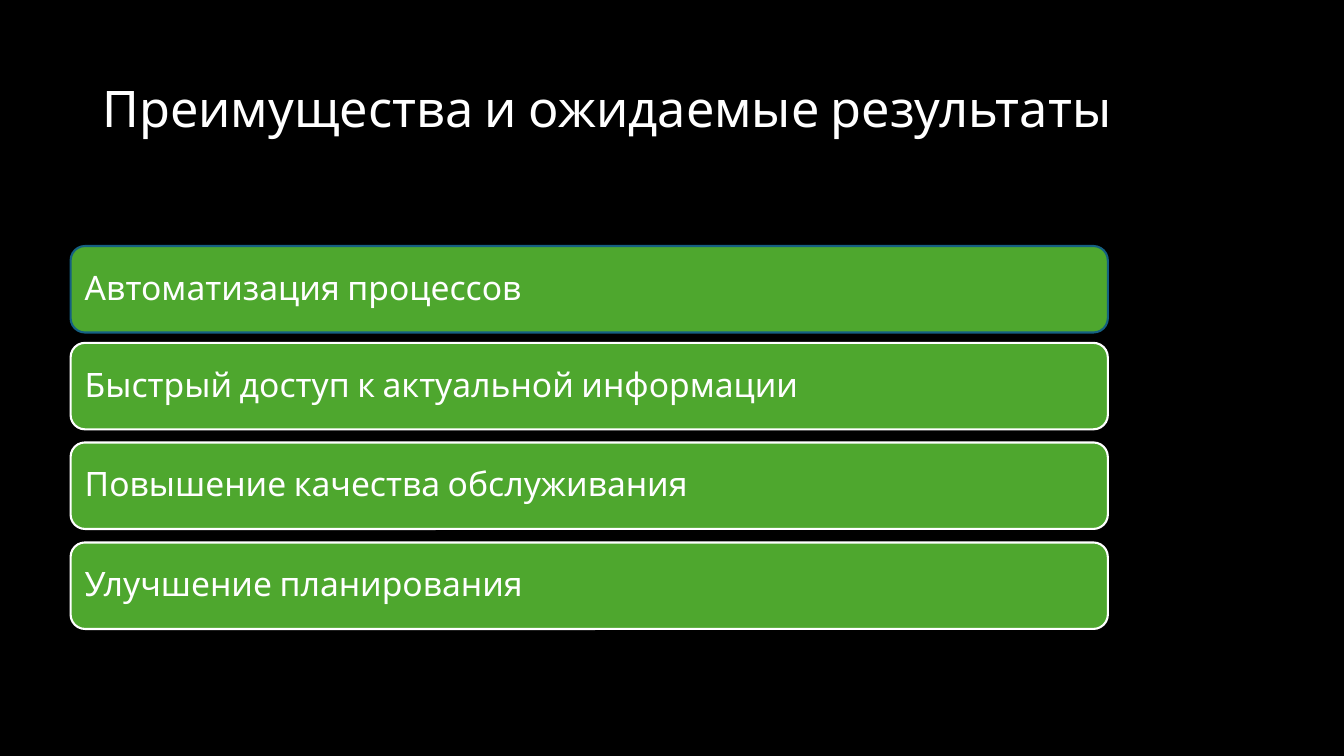
from dataclasses import dataclass

from pptx import Presentation
from pptx.dml.color import RGBColor
from pptx.enum.shapes import MSO_SHAPE
from pptx.enum.text import MSO_ANCHOR, MSO_AUTO_SIZE, PP_ALIGN
from pptx.slide import Slide
from pptx.text.text import TextFrame
from pptx.util import Cm, Pt


@dataclass(frozen=True)
class Theme:
    font: str = "Cabin"
    background: RGBColor = RGBColor(0x00, 0x00, 0x00)
    text: RGBColor = RGBColor(0xFF, 0xFF, 0xFF)
    card: RGBColor = RGBColor(0x4E, 0xA7, 0x2E)
    accent: RGBColor = RGBColor(0x15, 0x60, 0x82)
    title_size: int = 36
    card_size: int = 24


@dataclass(frozen=True)
class Benefit:
    text: str
    top: float
    outline: RGBColor


THEME = Theme()
TITLE = "Преимущества и ожидаемые результаты"
CARD_LEFT, CARD_WIDTH, CARD_HEIGHT = Cm(1.78), Cm(26.14), Cm(2.18)
BENEFITS = [
    Benefit("Автоматизация процессов", 6.2, THEME.accent),
    Benefit("Быстрый доступ к актуальной информации", 8.64, THEME.text),
    Benefit("Повышение качества обслуживания", 11.15, THEME.text),
    Benefit("Улучшение планирования", 13.67, THEME.text),
]


def set_attributes(target: object, values: dict[str, object]) -> None:
    for name, value in values.items():
        setattr(target, name, value)


def write_text(frame: TextFrame, text: str, size: int, inset: float) -> None:
    frame.text = text
    set_attributes(frame, {
        "word_wrap": True,
        "auto_size": MSO_AUTO_SIZE.NONE,
        "vertical_anchor": MSO_ANCHOR.MIDDLE,
        "margin_left": Cm(inset),
        "margin_right": Cm(inset),
    })
    line = frame.paragraphs[0]
    set_attributes(line, {"alignment": PP_ALIGN.LEFT, "line_spacing": 0.9})
    set_attributes(line.font, {"name": THEME.font, "size": Pt(size)})
    line.font.color.rgb = THEME.text


def add_title(slide: Slide) -> None:
    heading = slide.shapes.title
    set_attributes(heading, {
        "left": Cm(2.33), "top": Cm(0.97),
        "width": Cm(29.21), "height": Cm(3.68),
    })
    write_text(heading.text_frame, TITLE, THEME.title_size, 0.25)


def add_benefit(slide: Slide, benefit: Benefit) -> None:
    card = slide.shapes.add_shape(
        MSO_SHAPE.ROUNDED_RECTANGLE,
        CARD_LEFT, Cm(benefit.top), CARD_WIDTH, CARD_HEIGHT,
    )
    card.shadow.inherit = False
    card.fill.solid()
    card.fill.fore_color.rgb = THEME.card
    card.line.color.rgb = benefit.outline
    card.line.width = Pt(1.5)
    # The preset's text area is already inset by its rounded corners
    write_text(card.text_frame, benefit.text, THEME.card_size, 0.25)


def main() -> None:
    deck = Presentation()
    set_attributes(deck, {"slide_width": Cm(33.87), "slide_height": Cm(19.05)})

    # Title-only slide on a black background
    slide = deck.slides.add_slide(deck.slide_layouts[5])
    slide.background.fill.solid()
    slide.background.fill.fore_color.rgb = THEME.background
    add_title(slide)

    # Stack of benefit cards
    for benefit in BENEFITS:
        add_benefit(slide, benefit)

    deck.save("out.pptx")


if __name__ == "__main__":
    main()
